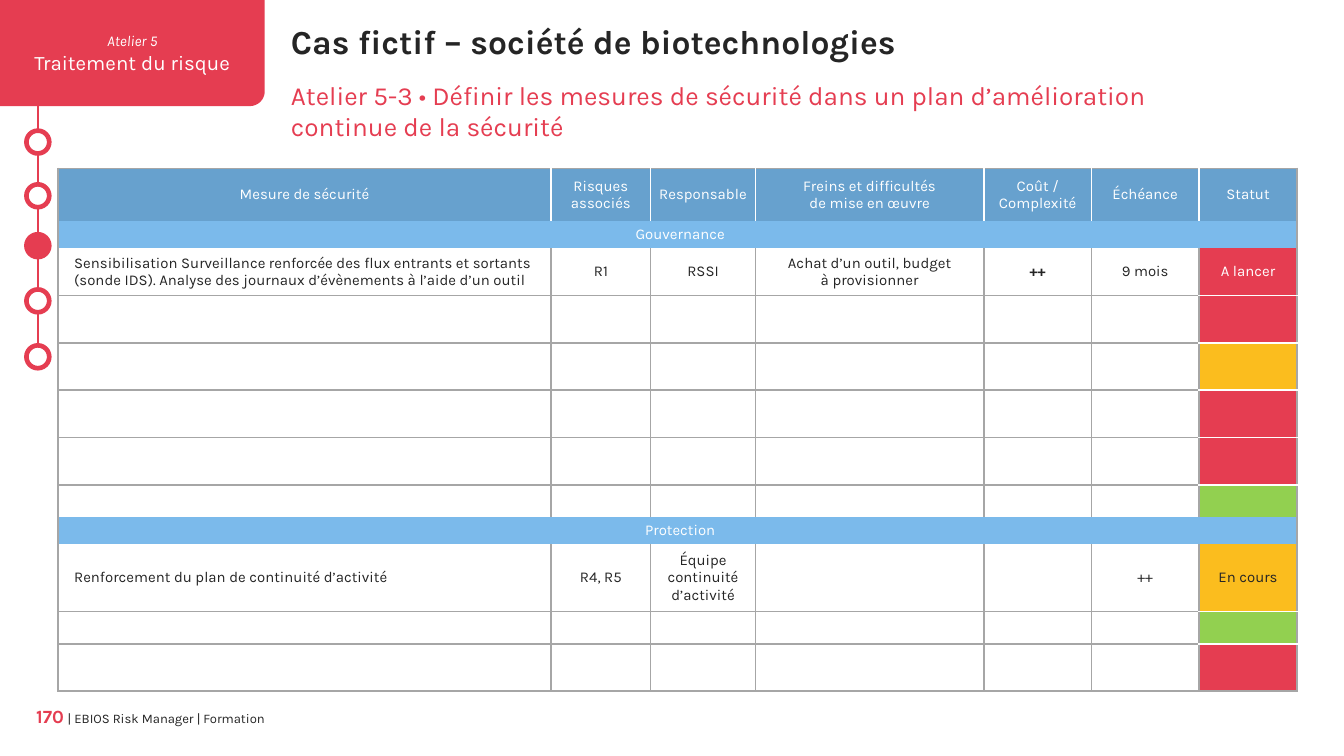
import math
from dataclasses import dataclass
from typing import Any, NamedTuple, Optional

import lxml.etree
import pptx
import pptx.dml.color
import pptx.enum.shapes
import pptx.enum.text
import pptx.oxml.ns
import pptx.util

WIDTH = pptx.util.Inches(10)
HEIGHT = WIDTH * 9 // 16
ALIGN = pptx.enum.text.PP_ALIGN
MIDDLE = pptx.enum.text.MSO_ANCHOR.MIDDLE
qn = pptx.oxml.ns.qn


@dataclass(frozen=True)
class Theme:
    font: str = "Karla"
    red: str = "E53D51"
    amber: str = "FBBD1E"
    green: str = "92D050"
    header: str = "67A1CE"
    band: str = "7BBAEB"
    grid: str = "A6A6A6"
    ink: str = "252525"
    white: str = "FFFFFF"
    title: float = 18
    subtitle: float = 14
    workshop: float = 11
    page: float = 10
    gap: float = 9
    body: float = 8
    footer: float = 7


THEME = Theme()


class Row(NamedTuple):
    weight: float
    cells: tuple[str, ...] = ()
    status: str = THEME.white
    kind: str = "measure"
    padding: float = 0


EMPTY_RED = Row(0.35, status=THEME.red)
COLUMN_WEIGHTS = (3.67, 0.74, 0.78, 1.7, 0.8, 0.8, 0.73)
STATUS = len(COLUMN_WEIGHTS) - 1
PLAN = (
    Row(0.39, ("Mesure de sécurité", "Risques associés", "Responsable",
               "Freins et difficultés\vde mise en œuvre", "Coût / Complexité",
               "Échéance", "Statut"), kind="header"),
    Row(0.2, ("Gouvernance",), kind="band"),
    Row(0.35, ("Sensibilisation Surveillance renforcée des flux entrants et sortants "
               "(sonde IDS). Analyse des journaux d’évènements à l’aide d’un outil",
               "R1", "RSSI", "Achat d’un outil, budget\và provisionner", "++",
               "9 mois", "A lancer"), THEME.red),
    EMPTY_RED,
    Row(0.35, status=THEME.amber),
    EMPTY_RED,
    EMPTY_RED,
    Row(0.24, status=THEME.green),
    Row(0.2, ("Protection",), kind="band"),
    Row(0.48, ("Renforcement du plan de continuité d’activité", "R4, R5",
               "Équipe continuité\nd’activité", "", "", "++", "En cours"),
        THEME.amber, padding=0.05),
    Row(0.24, status=THEME.green),
    EMPTY_RED,
)


def across(percent: float) -> int:
    return round(WIDTH * percent / 100)


def down(percent: float) -> int:
    return round(HEIGHT * percent / 100)


def rgb(color: str) -> pptx.dml.color.RGBColor:
    return pptx.dml.color.RGBColor.from_string(color)


def write(frame: Any, text: str, *, size: float, color: str, bold: bool = False,
          italic: bool = False, align: Any = ALIGN.LEFT, new_paragraph: bool = False) -> None:
    """Append text: a newline starts a paragraph, a vertical tab breaks the line."""
    points = str(round(size * 100))
    for index, content in enumerate(text.split("\n")):
        paragraph = frame.add_paragraph() if index or new_paragraph else frame.paragraphs[-1]
        paragraph.alignment = align
        if not content:
            lxml.etree.SubElement(paragraph._p, qn("a:endParaRPr"), sz=points)
            continue
        for position, line in enumerate(content.split("\v")):
            if position:
                paragraph.add_line_break()
                lxml.etree.SubElement(paragraph._p[-1], qn("a:rPr"), sz=points)
            run = paragraph.add_run()
            run.text = line
            run.font.name = THEME.font
            run.font.size = pptx.util.Pt(size)
            run.font.bold, run.font.italic = bold, italic
            run.font.color.rgb = rgb(color)


def add_text_frame(slide: Any, left: float, top: float, width: float, height: float) -> Any:
    frame = slide.shapes.add_textbox(across(left), down(top), across(width), down(height)).text_frame
    frame.word_wrap = True
    frame.margin_left = frame.margin_right = frame.margin_top = frame.margin_bottom = 0
    return frame


def draw_progress(slide: Any, steps: tuple[float, ...], current: int) -> None:
    axis, diameter = across(2.82), across(1.7)
    track = slide.shapes.add_connector(
        pptx.enum.shapes.MSO_CONNECTOR.STRAIGHT, axis, down(12), axis, down(48.7))
    track.line.color.rgb = rgb(THEME.red)
    track.line.width = pptx.util.Pt(1.25)
    lxml.etree.SubElement(track._element.spPr, qn("a:effectLst"))
    for index, center in enumerate(steps):
        step = slide.shapes.add_shape(
            pptx.enum.shapes.MSO_SHAPE.OVAL, axis - diameter // 2,
            down(center) - diameter // 2, diameter, diameter)
        step.shadow.inherit = False
        step.fill.solid()
        step.fill.fore_color.rgb = rgb(THEME.red if index == current else THEME.white)
        step.line.color.rgb = rgb(THEME.red)
        step.line.width = pptx.util.Pt(2.5)


def draw_workshop_tab(slide: Any) -> None:
    """Tab in the slide's corner, rounded at its lower right."""
    right, bottom, radius = across(19.7), down(14.04), across(1.1)
    angles = [math.radians(degrees) for degrees in range(0, 91, 6)]
    arc = [(right - radius + radius * math.cos(a), bottom - radius + radius * math.sin(a))
           for a in angles]
    outline = slide.shapes.build_freeform(0, 0)
    outline.add_line_segments([(right, 0), *arc, (0, bottom)], close=True)
    tab = outline.convert_to_shape()
    tab.shadow.inherit = False
    tab.fill.solid()
    tab.fill.fore_color.rgb = rgb(THEME.red)
    tab.line.fill.background()
    frame = tab.text_frame
    frame.word_wrap = True
    frame.vertical_anchor = MIDDLE
    write(frame, "Atelier 5", size=THEME.body, color=THEME.white, italic=True, align=ALIGN.CENTER)
    write(frame, "Traitement du risque", size=THEME.workshop, color=THEME.white,
          align=ALIGN.CENTER, new_paragraph=True)


def horizontal_edge(edge: int, column: int) -> Optional[str]:
    if edge in (0, len(PLAN)):
        return THEME.grid
    if "band" in (PLAN[edge - 1].kind, PLAN[edge].kind):
        return None
    return THEME.white if column == STATUS else THEME.grid


def vertical_edge(edge: int, kind: str) -> Optional[str]:
    if edge in (0, len(COLUMN_WEIGHTS)):
        return THEME.grid
    return {"header": THEME.white, "band": None}.get(kind, THEME.grid)


def set_border(cell: Any, side: str, color: Optional[str]) -> None:
    line = lxml.etree.SubElement(cell._tc.get_or_add_tcPr(), qn(f"a:ln{side}"), w="12700")
    if color is None:
        lxml.etree.SubElement(line, qn("a:noFill"))
    else:
        fill = lxml.etree.SubElement(line, qn("a:solidFill"))
        lxml.etree.SubElement(fill, qn("a:srgbClr"), val=color)


def draw_cell(cell: Any, row_index: int, column: int) -> None:
    row = PLAN[row_index]
    measure = row.kind == "measure"
    right = len(COLUMN_WEIGHTS) if row.kind == "band" else column + 1
    set_border(cell, "L", vertical_edge(column, row.kind))
    set_border(cell, "R", vertical_edge(right, row.kind))
    set_border(cell, "T", horizontal_edge(row_index, column))
    set_border(cell, "B", horizontal_edge(row_index + 1, column))
    plain = row.status if column == STATUS else THEME.white
    cell.fill.solid()
    cell.fill.fore_color.rgb = rgb({"header": THEME.header, "band": THEME.band}.get(row.kind, plain))

    described = column == 0 and row.kind != "header"
    cell.margin_left = pptx.util.Inches(0.12 if described else 0)
    cell.margin_right = pptx.util.Inches(0.08 if described else 0)
    cell.margin_top = cell.margin_bottom = pptx.util.Inches(row.padding)
    cell.vertical_anchor = MIDDLE
    text = row.cells[column] if column < len(row.cells) else ""
    on_red = column == STATUS and row.status == THEME.red
    write(cell.text_frame, text, size=THEME.body, bold=text == "++" and column == 4,
          color=THEME.white if on_red or not measure else THEME.ink,
          align=ALIGN.LEFT if described and measure else ALIGN.CENTER)


def draw_plan(slide: Any) -> None:
    width, height = across(92.2), down(68.9)
    table = slide.shapes.add_table(
        len(PLAN), len(COLUMN_WEIGHTS), across(4.32), down(22.28), width, height).table
    table.first_row = table.horz_banding = False
    for column, weight in zip(table.columns, COLUMN_WEIGHTS):
        column.width = round(width * weight / sum(COLUMN_WEIGHTS))
    for index, row in enumerate(PLAN):
        table.rows[index].height = round(height * row.weight / sum(r.weight for r in PLAN))
        for column in range(len(COLUMN_WEIGHTS)):
            draw_cell(table.cell(index, column), index, column)
        if row.kind == "band":
            table.cell(index, 0).merge(table.cell(index, STATUS))


def main() -> None:
    deck = pptx.Presentation()
    deck.slide_width, deck.slide_height = WIDTH, HEIGHT
    slide = deck.slides.add_slide(deck.slide_layouts[6])
    draw_progress(slide, steps=(18.8, 25.9, 32.5, 39.8, 47.2), current=2)
    draw_workshop_tab(slide)

    footer = add_text_frame(slide, 2, 93.3, 17.7, 3.56)
    write(footer, "170", size=THEME.page, color=THEME.red, bold=True, align=ALIGN.RIGHT)
    write(footer, " ", size=THEME.gap, color=THEME.ink, align=ALIGN.RIGHT)
    write(footer, "| EBIOS Risk Manager | Formation", size=THEME.footer, color=THEME.ink,
          align=ALIGN.RIGHT)
    draw_plan(slide)
    write(add_text_frame(slide, 21.65, 2.77, 74.8, 5.33), "Cas fictif – société de biotechnologies",
          size=THEME.title, color=THEME.ink, bold=True)
    write(add_text_frame(slide, 21.65, 10.47, 70.4, 12.62),
          "Atelier 5-3 • Définir les mesures de sécurité dans un plan d’amélioration "
          "continue de la sécurité", size=THEME.subtitle, color=THEME.red)
    deck.save("out.pptx")


if __name__ == "__main__":
    main()
